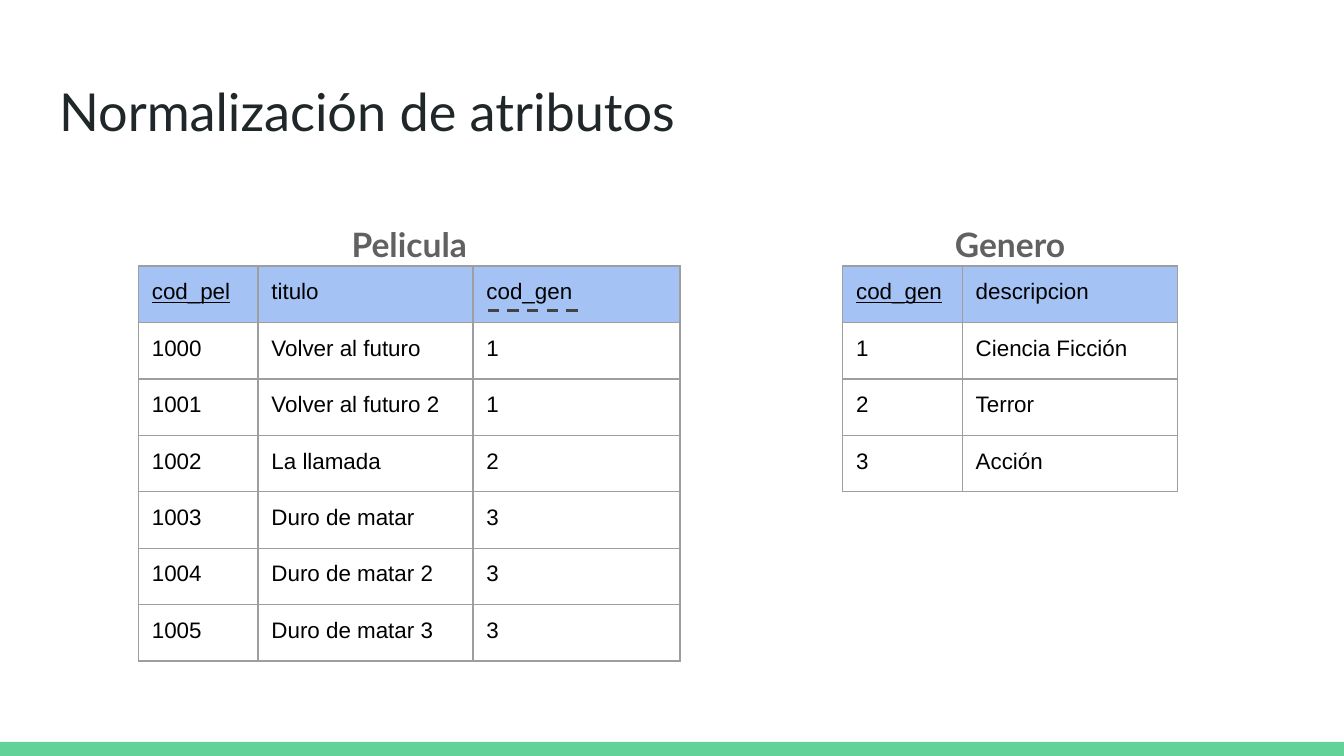
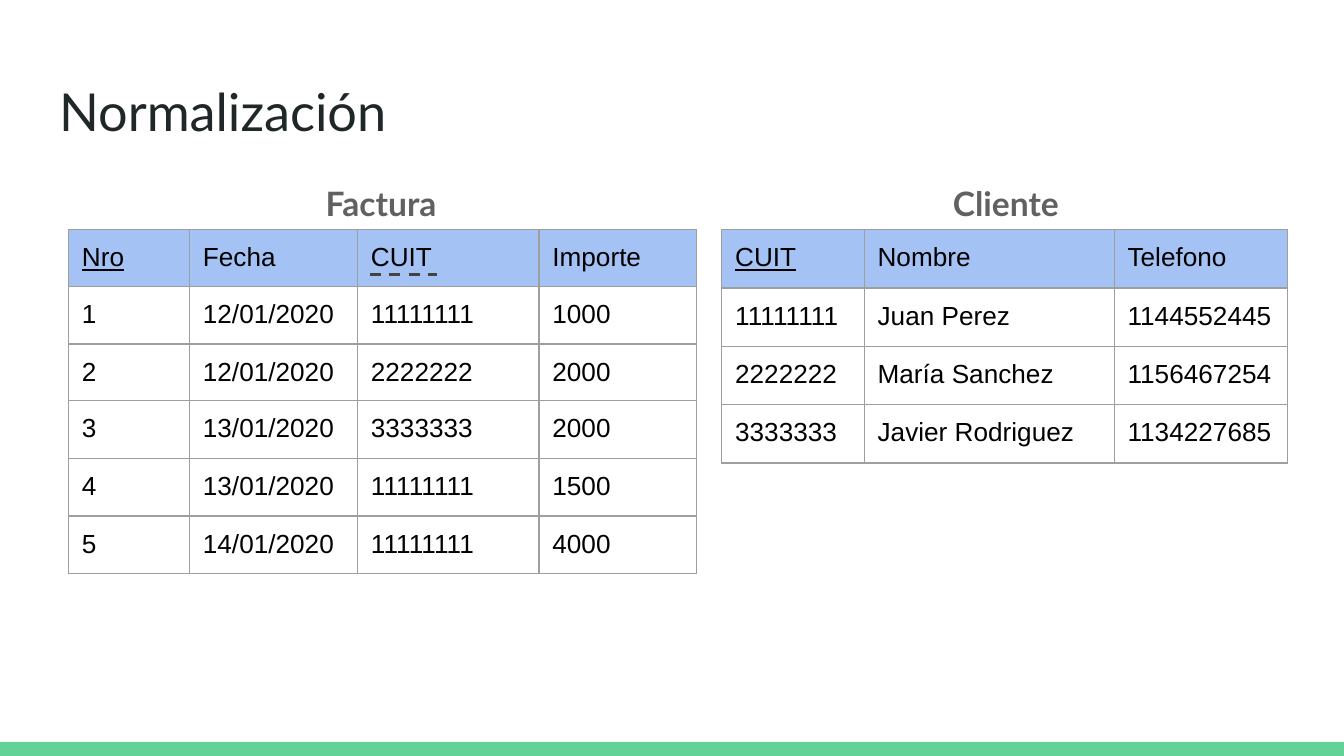
from lxml import etree
from pptx import Presentation
from pptx.dml.color import RGBColor
from pptx.enum.dml import MSO_LINE
from pptx.enum.shapes import MSO_CONNECTOR, MSO_SHAPE
from pptx.enum.text import MSO_ANCHOR, PP_ALIGN
from pptx.oxml import parse_xml
from pptx.oxml.ns import nsdecls, qn
from pptx.util import Inches, Pt

RECTANGLE = MSO_SHAPE.RECTANGLE
STRAIGHT = MSO_CONNECTOR.STRAIGHT
DASH = MSO_LINE.DASH
TOP = MSO_ANCHOR.TOP
LEFT, CENTER = PP_ALIGN.LEFT, PP_ALIGN.CENTER

COLORS = {
    "band": "63D297",
    "title": "202729",
    "caption": "616161",
    "header": "A4C2F4",
    "border": "9E9E9E",
    "cell": "000000",
    "foreign_key": "434343",
}
TITLE_ONLY = 5
SLIDE_WIDTH = 10
SLIDE_HEIGHT = SLIDE_WIDTH * 9 / 16
TITLE_BOX = (0.34, 0.49, 9.32, 0.63)
BAND_BOX = (0, 5.52, SLIDE_WIDTH, 0.11)
CAPTION_SIZE = (4.81, 0.56)
MARGIN = 0.1

SLIDES = [
    {
        "title": "Normalización de atributos",
        "font_size": 12,
        "table_top": 1.98,
        "caption_top": 1.52,
        "row_heights": [0.42] * 7,
        "foreign_key": (3.63, 2.31, 0.73),
        "tables": [
            {
                "caption": "Pelicula",
                "caption_left": 0.64,
                "left": 1.03,
                "column_widths": [0.89, 1.6, 1.54],
                "rows": [
                    ["cod_pel", "titulo", "cod_gen"],
                    ["1000", "Volver al futuro", "1"],
                    ["1001", "Volver al futuro 2", "1"],
                    ["1002", "La llamada", "2"],
                    ["1003", "Duro de matar", "3"],
                    ["1004", "Duro de matar 2", "3"],
                    ["1005", "Duro de matar 3", "3"],
                ],
            },
            {
                "caption": "Genero",
                "caption_left": 5.11,
                "left": 6.27,
                "column_widths": [0.89, 1.6],
                "rows": [
                    ["cod_gen", "descripcion"],
                    ["1", "Ciencia Ficción"],
                    ["2", "Terror"],
                    ["3", "Acción"],
                ],
            },
        ],
    },
    {
        "title": "Normalización",
        "font_size": 14,
        "table_top": 1.71,
        "caption_top": 1.22,
        "row_heights": [0.42, 0.43, 0.42, 0.43, 0.43, 0.43],
        "foreign_key": (2.75, 2.04, 0.5),
        "tables": [
            {
                "caption": "Factura",
                "caption_left": 0.43,
                "left": 0.51,
                "column_widths": [0.9, 1.25, 1.35, 1.17],
                "rows": [
                    ["Nro", "Fecha", "CUIT", "Importe"],
                    ["1", "12/01/2020", "11111111", "1000"],
                    ["2", "12/01/2020", "2222222", "2000"],
                    ["3", "13/01/2020", "3333333", "2000"],
                    ["4", "13/01/2020", "11111111", "1500"],
                    ["5", "14/01/2020", "11111111", "4000"],
                ],
            },
            {
                "caption": "Cliente",
                "caption_left": 5.08,
                "left": 5.37,
                "column_widths": [1.06, 1.86, 1.29],
                "rows": [
                    ["CUIT", "Nombre", "Telefono"],
                    ["11111111", "Juan Perez", "1144552445"],
                    ["2222222", "María Sanchez", "1156467254"],
                    ["3333333", "Javier Rodriguez", "1134227685"],
                ],
            },
        ],
    },
]


def color(name):
    return RGBColor.from_string(COLORS[name])


def format_paragraph(paragraph, font_name, size, color_name, bold=False, underline=False):
    for run in paragraph.runs:
        run.font.name = font_name
        run.font.size = Pt(size)
        run.font.color.rgb = color(color_name)
        run.font.bold = bold
        run.font.underline = underline


def set_margins(target):
    target.margin_left = target.margin_right = Inches(MARGIN)
    target.margin_top = target.margin_bottom = Inches(MARGIN)


def add_master_band(presentation, slide, box):
    band = slide.shapes.add_shape(RECTANGLE, *map(Inches, box))
    band.shadow.inherit = False
    band.fill.solid()
    band.fill.fore_color.rgb = color("band")
    band.line.fill.background()
    presentation.slide_master.shapes.element.insert(2, band.element)


def add_title(slide, text, box):
    title = slide.shapes.title
    title.left, title.top, title.width, title.height = map(Inches, box)
    text_frame = title.text_frame
    text_frame.text = text
    text_frame.word_wrap = True
    text_frame.vertical_anchor = TOP
    set_margins(text_frame)
    paragraph = text_frame.paragraphs[0]
    paragraph.alignment = LEFT
    format_paragraph(paragraph, "Lato", 28, "title")


def add_caption(slide, text, left, top):
    caption = slide.shapes.add_textbox(*map(Inches, (left, top, *CAPTION_SIZE)))
    text_frame = caption.text_frame
    text_frame.word_wrap = True
    set_margins(text_frame)
    text_frame.text = text
    paragraph = text_frame.paragraphs[0]
    paragraph.alignment = CENTER
    paragraph.line_spacing = 1.15
    paragraph.space_after = Pt(16)
    format_paragraph(paragraph, "Lato", 18, "caption", bold=True)


def add_borders(cell):
    properties = cell._tc.get_or_add_tcPr()
    for side in ("lnL", "lnR", "lnT", "lnB"):
        properties.append(parse_xml(
            f'<a:{side} {nsdecls("a")} w="{Pt(0.75)}"><a:solidFill>'
            f'<a:srgbClr val="{COLORS["border"]}"/></a:solidFill></a:{side}>'
        ))


def format_cell(cell, text, font_size, is_header, is_key):
    set_margins(cell)
    cell.text_frame.text = text
    format_paragraph(cell.text_frame.paragraphs[0], "Arial", font_size, "cell", underline=is_key)
    add_borders(cell)
    if is_header:
        cell.fill.solid()
        cell.fill.fore_color.rgb = color("header")
    else:
        cell.fill.background()


def add_data_table(slide, left, top, column_widths, row_heights, rows, font_size):
    heights = row_heights[:len(rows)]
    box = (left, top, sum(column_widths), sum(heights))
    table = slide.shapes.add_table(len(rows), len(column_widths), *map(Inches, box)).table
    table.first_row = False
    table.horz_banding = False
    for column, width in zip(table.columns, column_widths):
        column.width = Inches(width)
    for row_index, (row, height, texts) in enumerate(zip(table.rows, heights, rows)):
        row.height = Inches(height)
        for column_index, text in enumerate(texts):
            is_header = row_index == 0
            is_key = is_header and column_index == 0
            format_cell(row.cells[column_index], text, font_size, is_header, is_key)


def add_foreign_key_line(slide, left, top, width):
    line = slide.shapes.add_connector(STRAIGHT, *map(Inches, (left, top, left + width, top)))
    line.line.color.rgb = color("foreign_key")
    line.line.width = Pt(1.5)
    line.line.dash_style = DASH
    etree.SubElement(line.element.spPr, qn("a:effectLst"))


def add_tables_slide(presentation, content):
    slide = presentation.slides.add_slide(presentation.slide_layouts[TITLE_ONLY])
    add_title(slide, content["title"], TITLE_BOX)
    for table in content["tables"]:
        add_data_table(slide, table["left"], content["table_top"], table["column_widths"],
                       content["row_heights"], table["rows"], content["font_size"])
        add_caption(slide, table["caption"], table["caption_left"], content["caption_top"])
    add_foreign_key_line(slide, *content["foreign_key"])
    return slide


def main():
    presentation = Presentation()
    presentation.slide_width = Inches(SLIDE_WIDTH)
    presentation.slide_height = Inches(SLIDE_HEIGHT)
    slides = [add_tables_slide(presentation, content) for content in SLIDES]
    add_master_band(presentation, slides[0], BAND_BOX)
    presentation.save("out.pptx")


if __name__ == "__main__":
    main()
